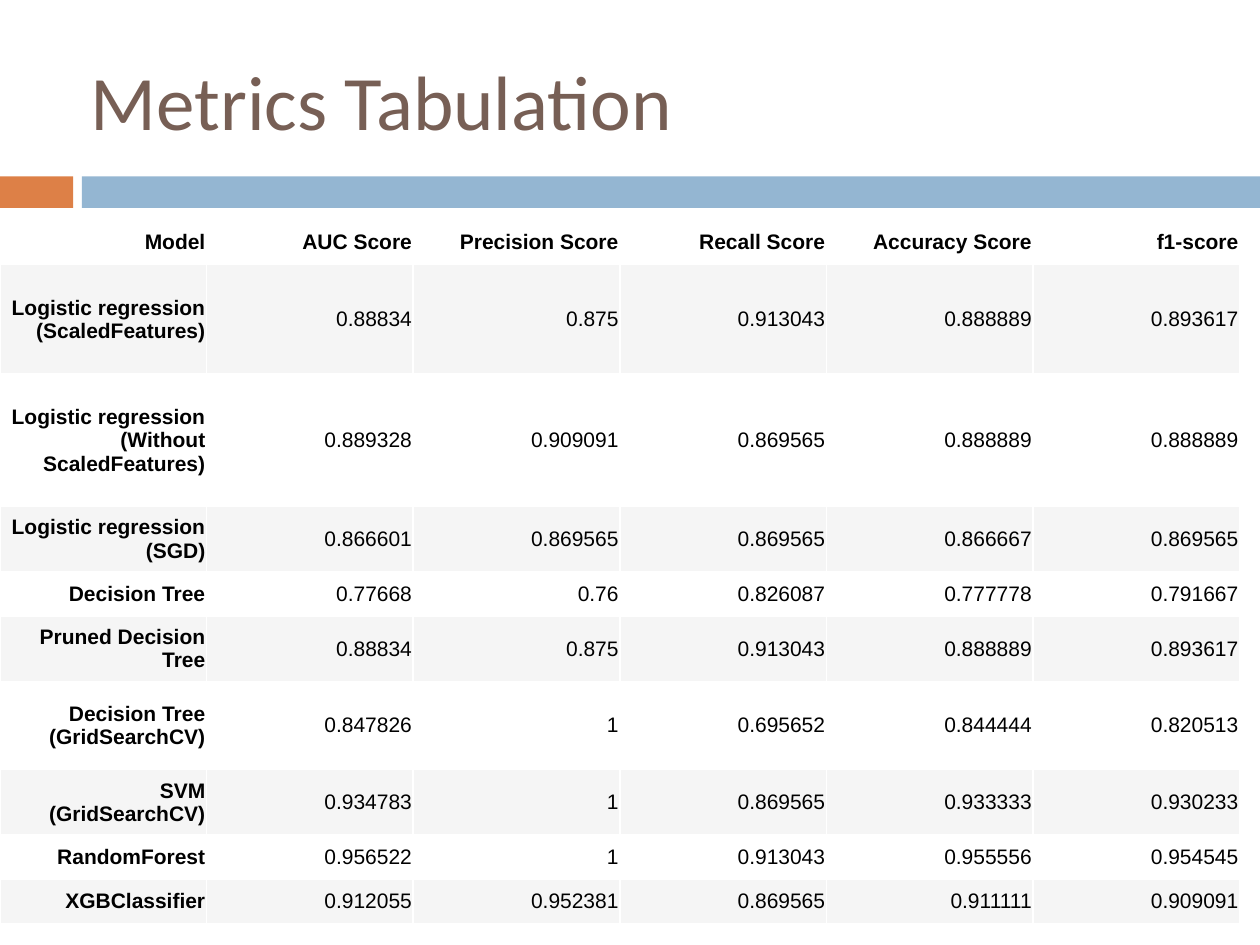
from pptx import Presentation
from pptx.dml.color import RGBColor
from pptx.enum.shapes import MSO_SHAPE
from pptx.enum.text import MSO_ANCHOR, PP_ALIGN
from pptx.util import Inches, Pt

RECTANGLE = MSO_SHAPE.RECTANGLE
MIDDLE = MSO_ANCHOR.MIDDLE
LEFT, RIGHT = PP_ALIGN.LEFT, PP_ALIGN.RIGHT

ORANGE = RGBColor(0xDD, 0x80, 0x47)
BLUE = RGBColor(0x94, 0xB6, 0xD2)
BROWN = RGBColor(0x77, 0x5F, 0x55)
BLACK = RGBColor(0x00, 0x00, 0x00)
WHITE = RGBColor(0xFF, 0xFF, 0xFF)
LIGHT_GRAY = RGBColor(0xF5, 0xF5, 0xF5)

COLUMN_WIDTH = 1.64
CELL_MARGIN = 0.01
HEADERS = ["Model", "AUC Score", "Precision Score", "Recall Score",
           "Accuracy Score", "f1-score"]
HEADER_HEIGHT = 0.35
# Row height in inches, followed by the cell texts
MODELS = [
    (0.87, "Logistic regression (ScaledFeatures)",
     "0.88834", "0.875", "0.913043", "0.888889", "0.893617"),
    (1.05, "Logistic regression (Without ScaledFeatures)",
     "0.889328", "0.909091", "0.869565", "0.888889", "0.888889"),
    (0.52, "Logistic regression (SGD)",
     "0.866601", "0.869565", "0.869565", "0.866667", "0.869565"),
    (0.35, "Decision Tree",
     "0.77668", "0.76", "0.826087", "0.777778", "0.791667"),
    (0.52, "Pruned Decision Tree",
     "0.88834", "0.875", "0.913043", "0.888889", "0.893617"),
    (0.7, "Decision Tree (GridSearchCV)",
     "0.847826", "1", "0.695652", "0.844444", "0.820513"),
    (0.52, "SVM (GridSearchCV)",
     "0.934783", "1", "0.869565", "0.933333", "0.930233"),
    (0.35, "RandomForest",
     "0.956522", "1", "0.913043", "0.955556", "0.954545"),
    (0.35, "XGBClassifier",
     "0.912055", "0.952381", "0.869565", "0.911111", "0.909091"),
]


def write_text(frame, text, font="Arial", size=12, color=BLACK, bold=False,
               align=RIGHT):
    frame.word_wrap = True
    para = frame.paragraphs[0]
    para.alignment = align
    span = para.add_run()
    span.text = text
    span.font.name = font
    span.font.size = Pt(size)
    span.font.bold = bold
    span.font.color.rgb = color


def add_bar(page, left, width, color):
    bar = page.shapes.add_shape(RECTANGLE, Inches(left), Inches(1.4),
                                Inches(width), Inches(0.25))
    bar.shadow.inherit = False
    bar.fill.solid()
    bar.fill.fore_color.rgb = color
    bar.line.fill.background()


def add_title(page, text):
    box = page.shapes.add_textbox(Inches(0.67), Inches(0.25),
                                  Inches(8.92), Inches(1.08))
    frame = box.text_frame
    frame.vertical_anchor = MIDDLE
    frame.margin_left = frame.margin_right = Inches(0.05)
    frame.margin_top = frame.margin_bottom = Inches(0.05)
    write_text(frame, text, font="Calibri", size=44, color=BROWN, align=LEFT)


def fill_cell(cell, text, color, bold):
    cell.fill.solid()
    cell.fill.fore_color.rgb = color
    cell.vertical_anchor = MIDDLE
    cell.margin_left = cell.margin_right = Inches(CELL_MARGIN)
    cell.margin_top = cell.margin_bottom = Inches(CELL_MARGIN)
    write_text(cell.text_frame, text, bold=bold)


def add_metrics_table(page):
    rows = [(HEADER_HEIGHT, *HEADERS), *MODELS]
    total_height = sum(row[0] for row in rows)
    table = page.shapes.add_table(
        len(rows), len(HEADERS), Inches(0), Inches(1.75),
        Inches(COLUMN_WIDTH * len(HEADERS)), Inches(total_height)).table
    table.first_row = False
    table.horz_banding = False
    for column in table.columns:
        column.width = Inches(COLUMN_WIDTH)
    for row_index, (height, *texts) in enumerate(rows):
        table.rows[row_index].height = Inches(height)
        color = LIGHT_GRAY if row_index % 2 else WHITE
        for column_index, text in enumerate(texts):
            is_heading = row_index == 0 or column_index == 0
            fill_cell(table.cell(row_index, column_index), text, color,
                      bold=is_heading)


def main():
    deck = Presentation()
    deck.slide_width = Inches(10)
    deck.slide_height = Inches(7.5)
    page = deck.slides.add_slide(deck.slide_layouts[6])
    add_bar(page, 0, 0.58, ORANGE)
    add_bar(page, 0.65, 9.35, BLUE)
    add_title(page, "Metrics Tabulation")
    add_metrics_table(page)
    deck.save("out.pptx")


if __name__ == "__main__":
    main()
